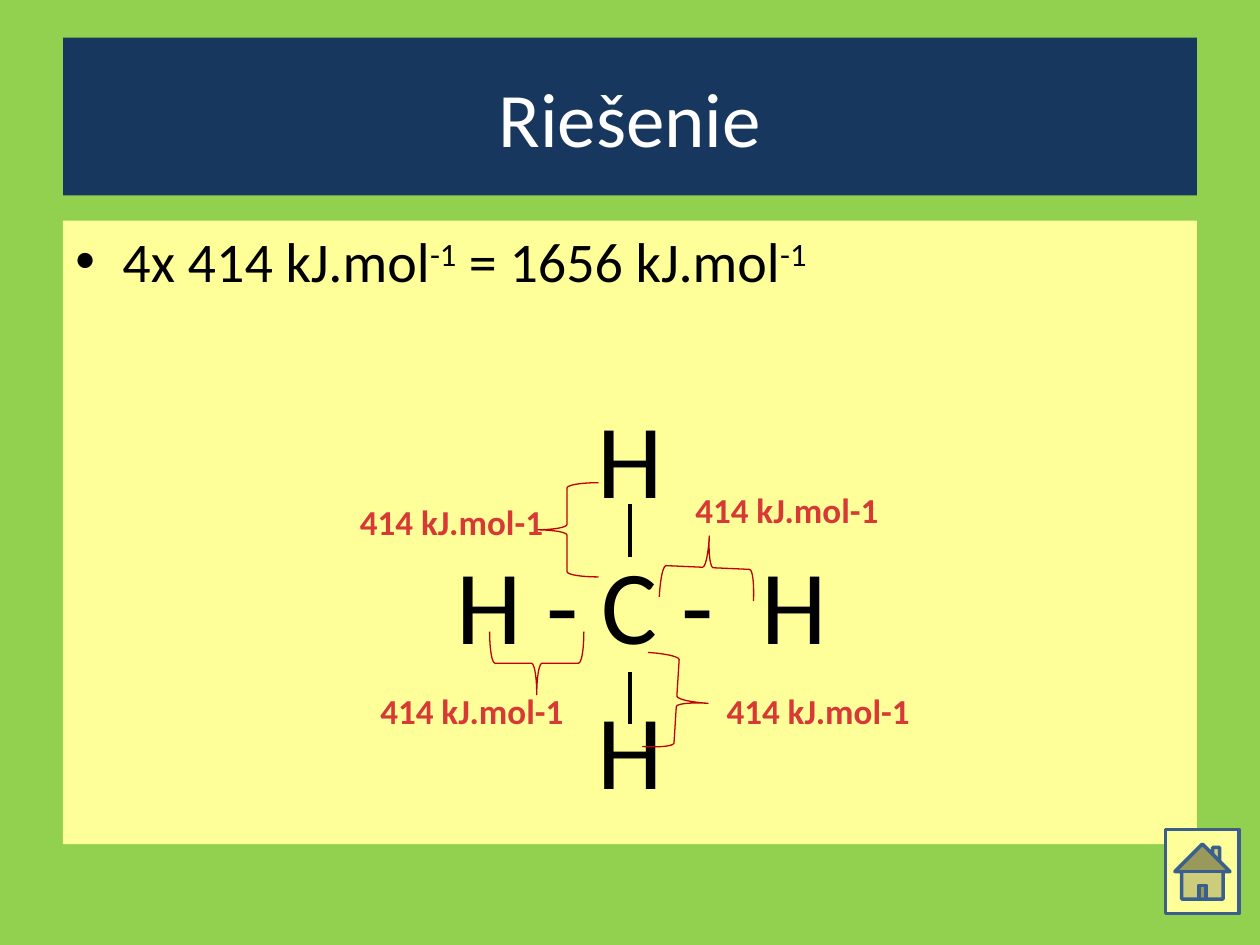
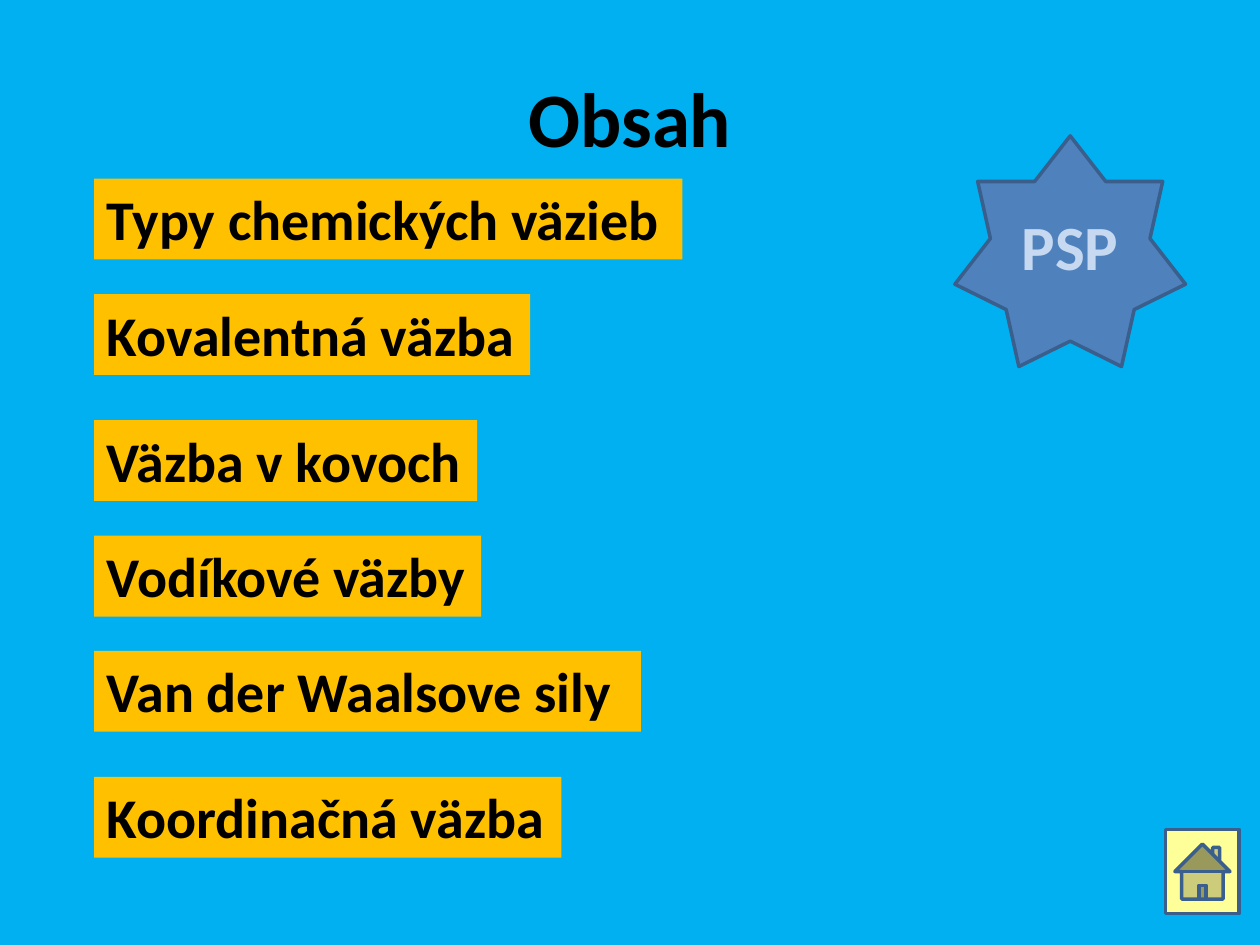
"""Build two chemistry slides: bond energy of methane and a table of contents."""
from lxml import etree
from pptx import Presentation
from pptx.dml.color import RGBColor
from pptx.enum.shapes import MSO_CONNECTOR, MSO_SHAPE
from pptx.enum.text import MSO_ANCHOR, PP_ALIGN
from pptx.oxml.ns import qn
from pptx.util import Cm, Pt

RECT, BRACE = MSO_SHAPE.RECTANGLE, MSO_SHAPE.RIGHT_BRACE
STAR, HOME = MSO_SHAPE.STAR_7_POINT, MSO_SHAPE.ACTION_BUTTON_HOME
STRAIGHT = MSO_CONNECTOR.STRAIGHT
LEFT, CENTER = PP_ALIGN.LEFT, PP_ALIGN.CENTER
TOP, MIDDLE = MSO_ANCHOR.TOP, MSO_ANCHOR.MIDDLE

BLACK = RGBColor(0, 0, 0)
WHITE = RGBColor(0xFF, 0xFF, 0xFF)
GREEN = RGBColor(0x92, 0xD0, 0x50)
SKY = RGBColor(0x00, 0xB0, 0xF0)
NAVY = RGBColor(0x17, 0x37, 0x5E)
CREAM = RGBColor(0xFF, 0xFF, 0x99)
AMBER = RGBColor(0xFF, 0xC0, 0x00)
BLUE = RGBColor(0x4F, 0x81, 0xBD)
EDGE = RGBColor(0x3A, 0x5F, 0x8C)
PALE = RGBColor(0xC6, 0xD9, 0xF1)
BRACE_RED = RGBColor(0xC0, 0x00, 0x00)
LABEL_RED = RGBColor(0xD7, 0x3A, 0x36)

TITLE_BOX = (1.27, 0.76, 22.86, 3.18)
BODY_BOX = (1.27, 4.45, 22.86, 12.57)
HOME_BOX = (23.5, 16.72, 1.48, 1.7)
STAR_BOX = (19.25, 2.74, 4.65, 4.65)

TITLE_FONT = {"name": "Calibri", "size": Pt(44), "bold": False, "color": WHITE}
BODY_FONT = {"name": "Calibri", "size": Pt(32), "color": BLACK}
ATOM_FONT = {**BODY_FONT, "size": Pt(60)}
CHIP_FONT = {**BODY_FONT, "bold": True}
LABEL_FONT = {**CHIP_FONT, "size": Pt(20), "color": LABEL_RED}
STAR_FONT = {**CHIP_FONT, "size": Pt(36), "color": PALE}

SUPERSCRIPT = {"baseline": "30000"}
WIDE_GAP = {"spc": "1360"}
ENERGY = [("4x 414 kJ.mol", {}), ("-1", SUPERSCRIPT),
          (" = 1656 kJ.mol", {}), ("-1", SUPERSCRIPT)]
ATOM_ROWS = [
    ([("H", {})], 57, 0),
    ([("H - C -", {}), (" ", WIDE_GAP), ("H", {})], 11, 0.48),
    ([("H", {})], 11, 0),
]
BOND_X, BOND_LENGTH, BOND_TOPS = 12.7, 1.06, (13.54, 10.16)
BRACE_SIZE = (1.27, 1.9)
BRACES = [(14.27, 11.44, 272.6), (10.82, 13.37, 90),
          (11.43, 10.68, 180), (13.64, 14.14, 3.5)]
BOND_LABEL, LABEL_SIZE = "414 kJ.mol-1", (4.65, 1.12)
LABEL_SPOTS = [(13.54, 9.73), (7.19, 13.77), (6.78, 9.96), (14.17, 13.77)]

CHIP_LEFT, CHIP_HEIGHT = 1.9, 1.63
CHIPS = [
    ("Typy chemických väzieb", 3.6, 11.86),
    ("Kovalentná väzba", 5.93, 8.79),
    ("Väzba v kovoch", 8.47, 7.72),
    ("Vodíkové väzby", 10.8, 7.8),
    ("Van der Waalsove sily", 13.12, 11.02),
    ("Koordinačná väzba", 15.66, 9.42),
]


def set_font(font, fmt):
    """Apply a dict of font values."""
    for key, value in fmt.items():
        if key == "color":
            font.color.rgb = value
        else:
            setattr(font, key, value)


def add_runs(p, runs, fmt):
    """Add (text, run attributes) pairs to a paragraph."""
    for text, attrs in runs:
        r = p.add_run()
        r.text = text
        set_font(r.font, fmt)
        for key, value in attrs.items():
            r.font._element.set(key, value)


def set_text(sp, text, fmt, align=LEFT, anchor=TOP):
    """Write one formatted paragraph into a shape."""
    tf = sp.text_frame
    tf.word_wrap, tf.vertical_anchor = True, anchor
    p = tf.paragraphs[0]
    p.alignment = align
    add_runs(p, [(text, {})], fmt)


def add_box(s, kind, box, fill=None, line=None, width=2):
    """Add a flat preset shape with optional fill and outline."""
    sp = s.shapes.add_shape(kind, *map(Cm, box))
    sp.shadow.inherit = False
    if fill is None:
        sp.fill.background()
    else:
        sp.fill.solid()
        sp.fill.fore_color.rgb = fill
    if line is None:
        sp.line.fill.background()
    else:
        sp.line.color.rgb, sp.line.width = line, Pt(width)
    return sp


def add_slide(prs, title, background, fmt, band=None):
    """Add a titled slide with its background and home button."""
    s = prs.slides.add_slide(prs.slide_layouts[5])
    s.background.fill.solid()
    s.background.fill.fore_color.rgb = background
    sp = s.shapes.title
    sp.left, sp.top, sp.width, sp.height = map(Cm, TITLE_BOX)
    if band is not None:
        sp.fill.solid()
        sp.fill.fore_color.rgb = band
    set_text(sp, title, fmt, CENTER, MIDDLE)
    return s


def add_body(s):
    """Add the panel with the energy sum and the methane formula."""
    sp = s.shapes.add_textbox(*map(Cm, BODY_BOX))
    sp.fill.solid()
    sp.fill.fore_color.rgb = CREAM
    tf = sp.text_frame
    tf.word_wrap = True
    p = tf.paragraphs[0]
    pPr = p._p.get_or_add_pPr()
    pPr.set("marL", str(Cm(0.95)))
    pPr.set("indent", str(-Cm(0.95)))
    etree.SubElement(pPr, qn("a:buFont")).set("typeface", "Arial")
    etree.SubElement(pPr, qn("a:buChar")).set("char", "•")
    add_runs(p, ENERGY, BODY_FONT)
    for runs, before, margin in ATOM_ROWS:
        p = tf.add_paragraph()
        p.alignment, p.space_before = CENTER, Pt(before)
        p._p.get_or_add_pPr().set("marL", str(Cm(margin)))
        add_runs(p, runs, ATOM_FONT)


def build_solution(prs):
    """Build the solution slide."""
    s = add_slide(prs, "Riešenie", GREEN, TITLE_FONT, NAVY)
    add_body(s)
    for top in BOND_TOPS:
        bond = s.shapes.add_connector(STRAIGHT, Cm(BOND_X), Cm(top),
                                      Cm(BOND_X), Cm(top + BOND_LENGTH))
        bond.line.color.rgb, bond.line.width = BLACK, Pt(2.25)
        etree.SubElement(bond._element.spPr, qn("a:effectLst"))
    w, h = BRACE_SIZE
    for x, y, angle in BRACES:
        brace = add_box(s, BRACE, (x - w / 2, y - h / 2, w, h),
                        line=BRACE_RED, width=0.75)
        brace.rotation = angle
    for spot in LABEL_SPOTS:
        label = s.shapes.add_textbox(*map(Cm, spot + LABEL_SIZE))
        set_text(label, BOND_LABEL, LABEL_FONT, CENTER)
    add_box(s, HOME, HOME_BOX, CREAM, EDGE)


def build_contents(prs):
    """Build the contents slide."""
    s = add_slide(prs, "Obsah", SKY, {**TITLE_FONT, "bold": True, "color": BLACK})
    for text, top, width in CHIPS:
        chip = add_box(s, RECT, (CHIP_LEFT, top, width, CHIP_HEIGHT), AMBER)
        set_text(chip, text, CHIP_FONT)
    star = add_box(s, STAR, STAR_BOX, BLUE, EDGE)
    set_text(star, "PSP", STAR_FONT, CENTER, MIDDLE)
    add_box(s, HOME, HOME_BOX, CREAM, EDGE)


def main():
    """Create and save the presentation."""
    prs = Presentation()
    prs.slide_width, prs.slide_height = Cm(25.4), Cm(19.05)
    build_solution(prs)
    build_contents(prs)
    prs.save("out.pptx")


if __name__ == "__main__":
    main()
